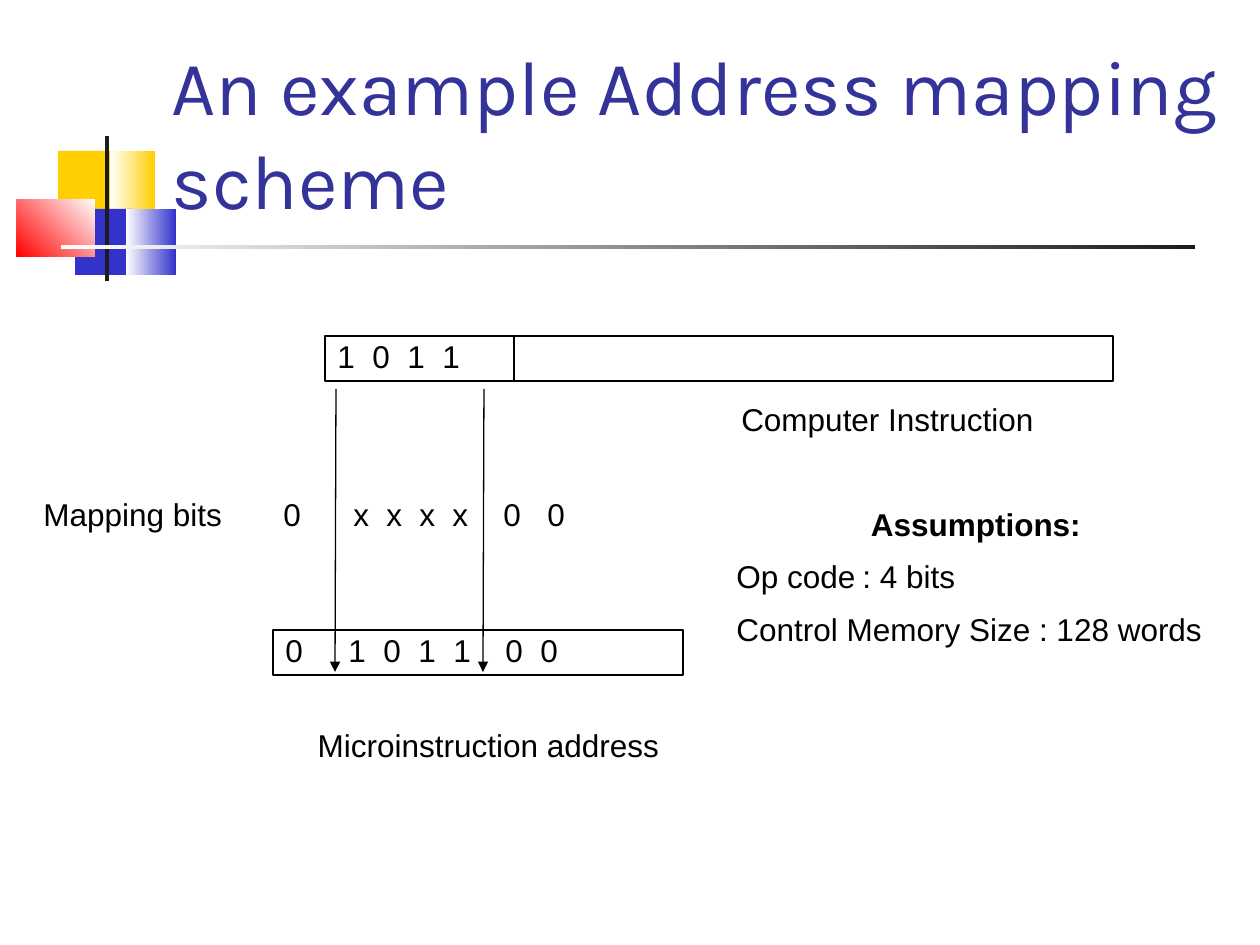
from lxml.etree import SubElement
from pptx import Presentation
from pptx.dml.color import RGBColor
from pptx.enum.shapes import MSO_CONNECTOR as Connector, MSO_SHAPE as Shape
from pptx.enum.text import MSO_ANCHOR as Anchor, MSO_AUTO_SIZE as AutoSize, PP_ALIGN as Align
from pptx.oxml.ns import qn
from pptx.util import Pt

EMU_PER_PX = 914400 / 126
TITLE_ONLY = 5
COLORS = {
    "yellow": "FFCF01",
    "blue": "3333CC",
    "red": "FF0000",
    "white": "FFFFFF",
    "charcoal": "1C1C1C",
    "title": "333399",
    "black": "000000",
}


def px(length):
    return round(length * EMU_PER_PX)


def color(name):
    return RGBColor.from_string(COLORS[name])


def place(shape, box):
    shape.left, shape.top, shape.width, shape.height = map(px, box)


def write_text(shape, *lines, size=18, font="Arial", ink="black", align=Align.LEFT,
               anchor=Anchor.TOP, spacing=0.87, tabs=(), bold_first=False):
    """Fill a shape with one paragraph per line; align applies to the first, tabs are px stops."""
    frame = shape.text_frame
    frame.word_wrap = True
    frame.auto_size = AutoSize.NONE
    frame.vertical_anchor = anchor
    for index, line in enumerate(lines):
        paragraph = frame.add_paragraph() if index else frame.paragraphs[0]
        if tabs:
            tab_list = SubElement(paragraph._p.get_or_add_pPr(), qn("a:tabLst"))
            for stop in tabs:
                SubElement(tab_list, qn("a:tab"), pos=str(px(stop)), algn="l")
        paragraph.alignment = Align.LEFT if index else align
        paragraph.line_spacing = spacing
        if index:
            paragraph.space_before = Pt(11.2)
        run = paragraph.add_run()
        run.text = line
        run.font.name = font
        run.font.size = Pt(size)
        run.font.bold = bold_first and index == 0
        run.font.color.rgb = color(ink)


def add_rectangle(slide, box):
    shape = slide.shapes.add_shape(Shape.RECTANGLE, *map(px, box))
    shape.shadow.inherit = False
    return shape


def add_block(slide, box, start, end=None, angle=180):
    """Add a borderless block, graded from start to end (counter-clockwise angle) if end is given."""
    shape = add_rectangle(slide, box)
    shape.line.fill.background()
    if end is None:
        shape.fill.solid()
        shape.fill.fore_color.rgb = color(start)
        return
    shape.fill.gradient()
    shape.fill.gradient_angle = angle
    for stop, name, position in zip(shape.fill.gradient_stops, (start, end), (0, 1)):
        stop.color.rgb = color(name)
        stop.position = position


def add_register(slide, box, text="", tabs=()):
    shape = add_rectangle(slide, box)
    shape.fill.background()
    shape.line.color.rgb = color("black")
    shape.line.width = Pt(0.75)
    if text:
        write_text(shape, text, tabs=tabs)


def add_label(slide, box, *lines, **text_format):
    write_text(slide.shapes.add_textbox(*map(px, box)), *lines, **text_format)


def add_arrow(slide, start, end):
    arrow = slide.shapes.add_connector(Connector.STRAIGHT, *map(px, start + end))
    arrow.line.color.rgb = color("black")
    arrow.line.width = Pt(0.75)
    SubElement(arrow.line._get_or_add_ln(), qn("a:tailEnd"), type="triangle")
    SubElement(arrow._element.spPr, qn("a:effectLst"))


def add_decoration(slide):
    add_block(slide, (58, 151, 60, 66), "yellow")
    add_block(slide, (110, 151, 45, 66), "yellow", "white")
    add_block(slide, (75, 209, 58, 66), "blue")
    add_block(slide, (126, 209, 50, 66), "blue", "white")
    add_block(slide, (17, 199, 78, 58), "white", "red", angle=225)
    add_block(slide, (105, 136, 4, 145), "charcoal")
    add_block(slide, (61, 245, 1134, 4), "charcoal", "white")


def add_mapping_diagram(slide):
    add_register(slide, (325, 336, 189, 45), "1\t0\t1\t1", tabs=(35, 70, 105))
    add_register(slide, (514, 336, 599, 45))
    add_register(slide, (273, 630, 410, 45), "0\t1\t0\t1\t1\t0\t0",
                 tabs=(63, 98, 133, 168, 220, 255))
    add_arrow(slide, (336, 389), (335, 672))
    add_arrow(slide, (484, 389), (483, 672))
    add_label(slide, (31, 494, 651, 45), "Mapping bits\t0\tx\tx\tx\tx\t0\t0",
              tabs=(240, 310, 343, 376, 409, 460, 504))
    add_label(slide, (672, 399, 431, 45), "Computer Instruction", align=Align.CENTER)
    add_label(slide, (273, 725, 431, 45), "Microinstruction address", align=Align.CENTER)


def main():
    presentation = Presentation()
    presentation.slide_width, presentation.slide_height = px(1260), px(945)
    slide = presentation.slides.add_slide(presentation.slide_layouts[TITLE_ONLY])
    add_decoration(slide)
    title = slide.shapes.title
    place(title, (159, 29, 1074, 202))
    write_text(title, "An example Address mapping scheme", size=44, font="Karla",
               ink="title", anchor=Anchor.BOTTOM, spacing=1.02)
    add_mapping_diagram(slide)
    add_label(slide, (724, 504, 504, 151), "Assumptions:", "Op code\t: 4 bits",
              "Control Memory Size : 128 words", align=Align.CENTER, tabs=(126,),
              bold_first=True)
    presentation.save("out.pptx")


if __name__ == "__main__":
    main()
